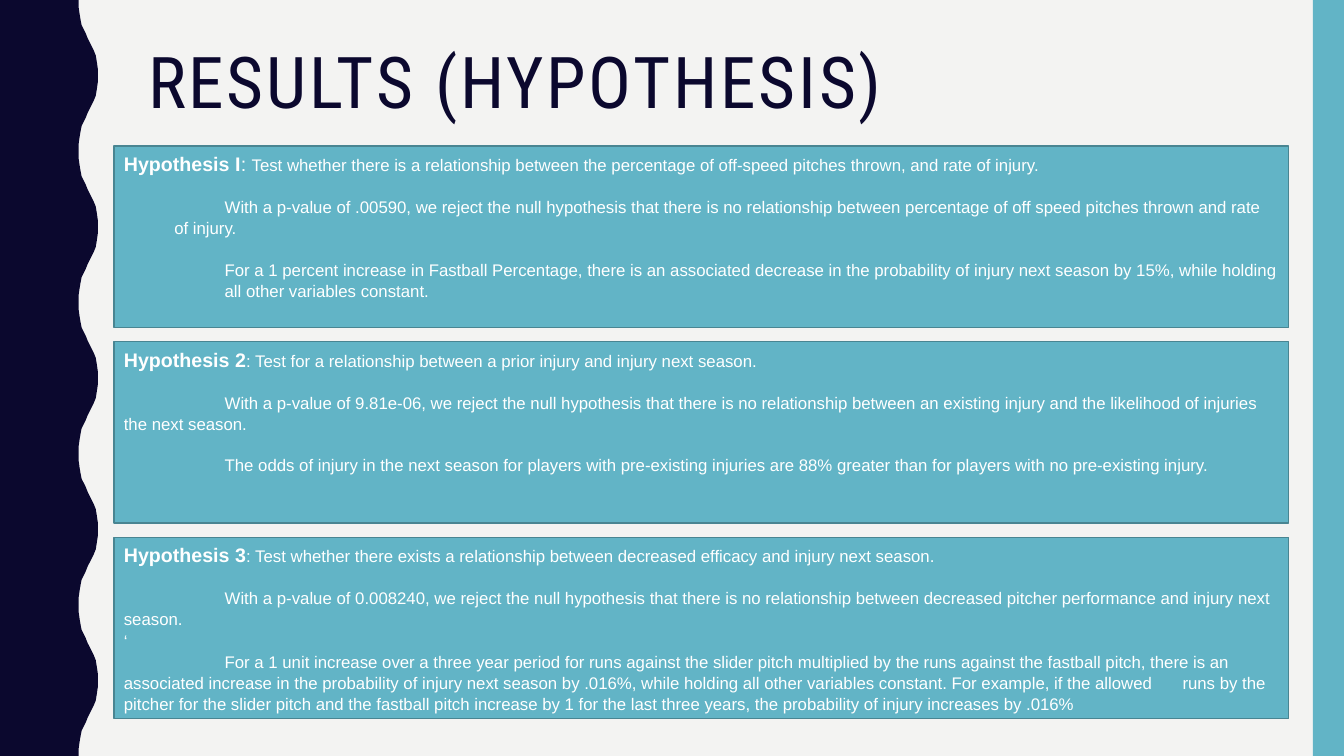
from pptx import Presentation
from pptx.dml.color import RGBColor
from pptx.enum.shapes import MSO_SHAPE
from pptx.enum.text import MSO_ANCHOR, PP_ALIGN
from pptx.oxml.ns import qn
from pptx.util import Inches, Pt

NAVY = RGBColor(0x0B, 0x08, 0x2E)
TEAL = RGBColor(0x62, 0xB4, 0xC6)
TEAL_DARK = RGBColor(0x49, 0x85, 0x92)
PAPER = RGBColor(0xF3, 0xF3, 0xF2)
WHITE = RGBColor(0xFF, 0xFF, 0xFF)

TITLE = "RESULTS (HYPOTHESIS)"
# Each panel: heading runs (text, size, bold), then
# paragraphs (text, left margin, first-line indent, space before in points)
PANELS = [
    ([("Hypothesis I", 14, True), (": ", 14, False),
      ("Test whether there is a relationship between the percentage of off-speed pitches thrown, "
       "and rate of injury.", 12, False)],
     [("With a p-value of .00590, we reject the null hypothesis that there is no relationship "
       "between percentage of off speed pitches thrown and rate of injury.", 0.5, 0.5, 14.4),
      ("For a 1 percent increase in Fastball Percentage, there is an associated decrease in the "
       "probability of injury next season by 15%, while holding all other variables constant.",
       1, 0, 14.4)]),
    ([("Hypothesis 2", 14, True),
      (": Test for a relationship between a prior injury and injury next season.", 12, False)],
     [("With a p-value of 9.81e-06, we reject the null hypothesis that there is no relationship "
       "between an existing injury and the likelihood of injuries the next season.", 0, 1, 14.4),
      ("The odds of injury in the next season for players with pre-existing injuries are 88% "
       "greater than for players with no pre-existing injury.", 0, 1, 14.4)]),
    ([("Hypothesis 3", 14, True),
      (": Test whether there exists a relationship between decreased efficacy and injury next "
       "season.", 12, False)],
     [("With a p-value of 0.008240, we reject the null hypothesis that there is no relationship "
       "between decreased pitcher performance and injury next season.", 0, 1, 14.4),
      ("‘", 0, 0, 0),
      ("For a 1 unit increase over a three year period for runs against the slider pitch "
       "multiplied by the runs against the fastball pitch, there is an associated increase in the "
       "probability of injury next season by .016%, while holding all other variables constant. "
       "For example, if the allowed\truns by the pitcher for the slider pitch and the fastball "
       "pitch increase by 1 for the last three years, the probability of injury increases by "
       ".016%", 0, 1, 0)]),
]
PANEL_LEFT, PANEL_TOP, PANEL_W, PANEL_H, PANEL_STEP = 1.13, 1.45, 11.65, 1.8, 1.94
TAB_STOP = 11

SLIDE_W, SLIDE_H = 13.33, 7.5
WAVE_PERIOD, WAVE_COUNT = 1.5, 5
HALF_WAVE = [(0.78, 0), (0.78, 0.07), (0.79, 0.14), (0.8, 0.2), (0.81, 0.25), (0.83, 0.29),
             (0.85, 0.33), (0.87, 0.38), (0.89, 0.42), (0.91, 0.46), (0.93, 0.5), (0.95, 0.55),
             (0.96, 0.61), (0.97, 0.68), (0.97, 0.75)]


def paint(sp, fill, line=None):
    sp.shadow.inherit = False
    sp.fill.solid()
    sp.fill.fore_color.rgb = fill
    if line is None:
        sp.line.fill.background()
    else:
        sp.line.color.rgb = line
        sp.line.width = Pt(1)


def add_run(p, text, size, color, font="Arial", bold=False):
    r = p.add_run()
    r.text = text
    r.font.name = font
    r.font.size = Pt(size)
    r.font.bold = bold
    r.font.color.rgb = color
    return r


def set_indent(p, left, first):
    pPr = p._p.get_or_add_pPr()
    pPr.set("marL", str(Inches(left)))
    pPr.set("indent", str(Inches(first)))


def add_tab_stop(p, position):
    tabs = p._p.get_or_add_pPr().makeelement(qn("a:tabLst"), {})
    tab = tabs.makeelement(qn("a:tab"), {"pos": str(Inches(position)), "algn": "l"})
    tabs.append(tab)
    p._p.get_or_add_pPr().append(tabs)


def add_wave(s):
    full_wave = HALF_WAVE + [(x, WAVE_PERIOD - y) for x, y in HALF_WAVE[-2::-1]]
    edge = [(x, y + i * WAVE_PERIOD) for i in range(WAVE_COUNT) for x, y in full_wave]
    points = [(Inches(x), Inches(y)) for x, y in edge + [(0, SLIDE_H)]]
    builder = s.shapes.build_freeform(0, 0)
    builder.add_line_segments(points, close=True)
    paint(builder.convert_to_shape(), NAVY)


def add_panel(s, index, heading, body):
    sp = s.shapes.add_shape(MSO_SHAPE.RECTANGLE, Inches(PANEL_LEFT),
                            Inches(PANEL_TOP + index * PANEL_STEP),
                            Inches(PANEL_W), Inches(PANEL_H))
    paint(sp, TEAL, TEAL_DARK)
    tf = sp.text_frame
    tf.word_wrap = True
    tf.vertical_anchor = MSO_ANCHOR.TOP
    p = tf.paragraphs[0]
    p.alignment = PP_ALIGN.LEFT
    p.line_spacing = 1.05
    for text, size, bold in heading:
        add_run(p, text, size, WHITE, bold=bold)
    for text, left, first, before in body:
        p = tf.add_paragraph()
        p.alignment = PP_ALIGN.LEFT
        p.line_spacing = 1.05
        p.space_before = Pt(before)
        set_indent(p, left, first)
        if "\t" in text:
            add_tab_stop(p, TAB_STOP)
        add_run(p, text, 12, WHITE)


def main():
    prs = Presentation()
    prs.slide_width, prs.slide_height = Inches(SLIDE_W), Inches(SLIDE_H)
    s = prs.slides.add_slide(prs.slide_layouts[6])
    s.background.fill.solid()
    s.background.fill.fore_color.rgb = PAPER

    add_wave(s)
    band = s.shapes.add_shape(MSO_SHAPE.RECTANGLE, Inches(13.02), 0, Inches(0.31),
                              Inches(SLIDE_H))
    paint(band, TEAL)

    title = s.shapes.add_textbox(Inches(1.37), Inches(0.42), Inches(11.13), Inches(1.63))
    title.text_frame.word_wrap = True
    p = title.text_frame.paragraphs[0]
    p.line_spacing = 0.9
    r = add_run(p, TITLE, 51, NAVY, font="Roboto Condensed")
    r.font._element.set("spc", "200")

    for i, (heading, body) in enumerate(PANELS):
        add_panel(s, i, heading, body)
    prs.save("out.pptx")


if __name__ == "__main__":
    main()
